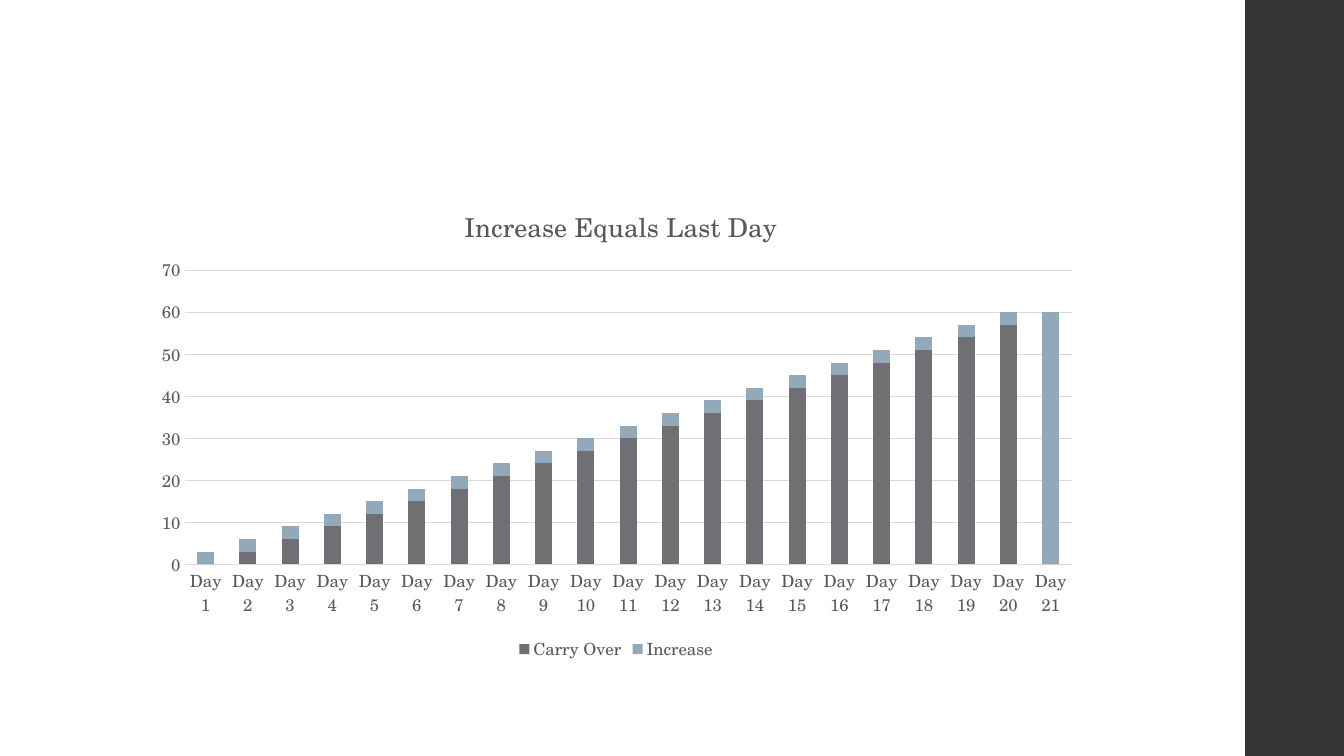
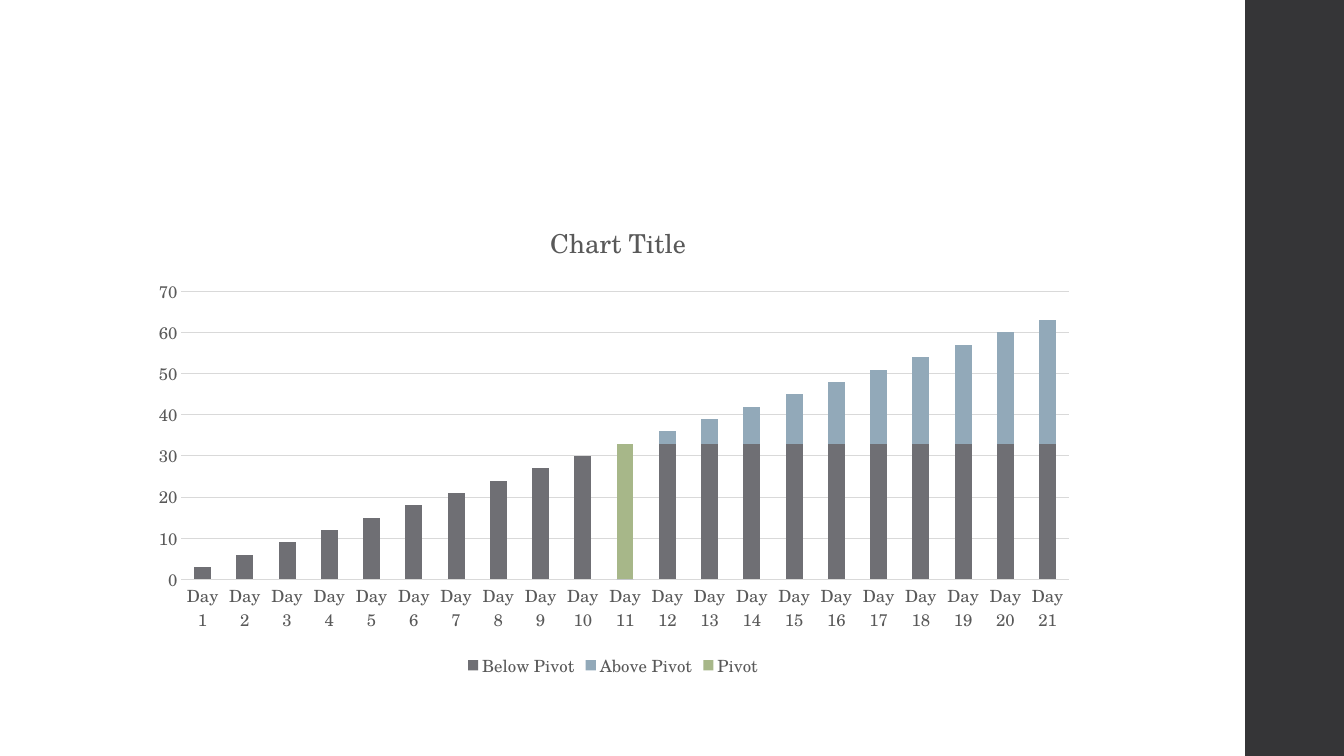
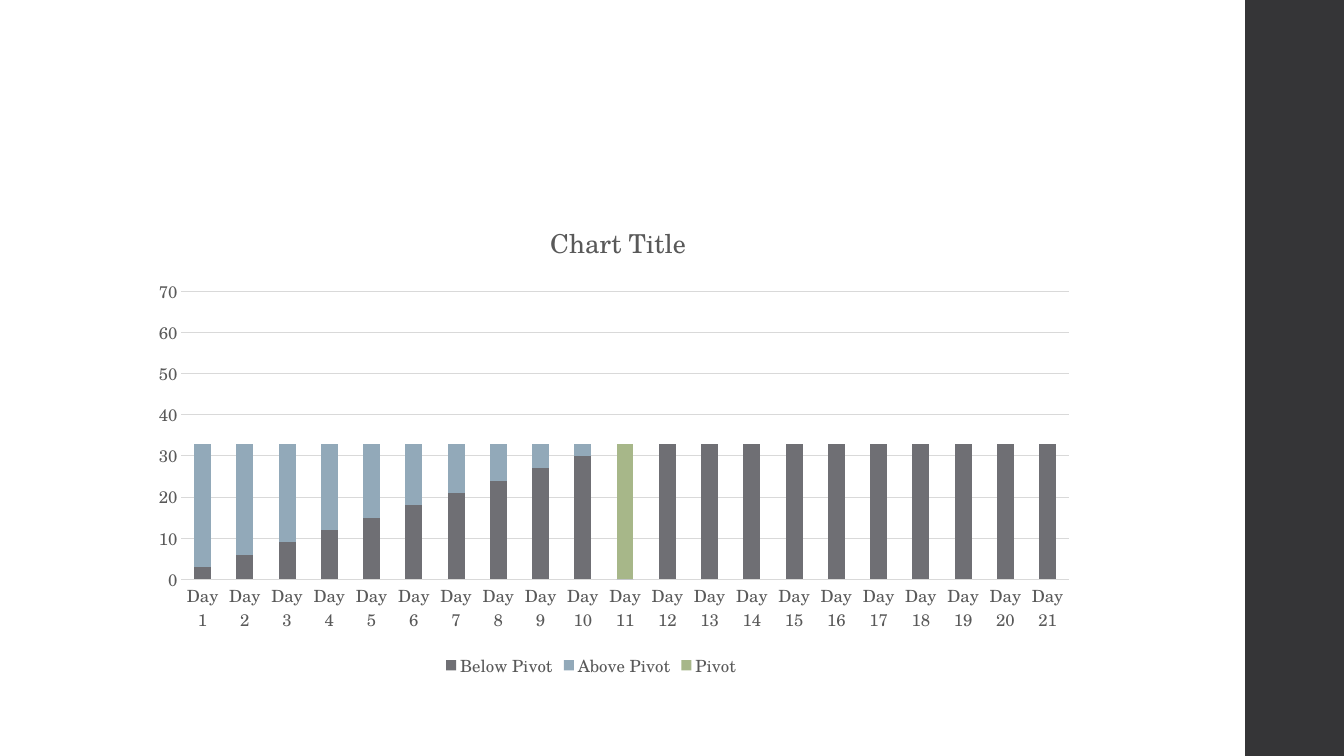
import pptx
import pptx.util
import pptx.chart.data
import pptx.dml.color
import pptx.enum.chart
import pptx.enum.shapes
import pptx.oxml
import pptx.oxml.ns

Inches = pptx.util.Inches
Pt = pptx.util.Pt
RGB = pptx.dml.color.RGBColor.from_string
qn = pptx.oxml.ns.qn

# Shared look
COLORS = {"band": "353537", "text": "595959", "rule": "D9D9D9",
          "gray": "6F6F74", "blue": "92A9B9", "green": "A7B789"}
FONT = "TeX Gyre Schola"
CHART_WIDTH, CHART_HEIGHT = 9.4, 4.76


def style_font(font, size):
    font.name = FONT
    font.size = Pt(size)
    font.bold = False
    font.color.rgb = RGB(COLORS["text"])


def set_layout(parent, index, left, top, width=None, height=None):
    """Place a chart part, with lengths in inches from the chart's corner."""
    for old in parent.findall(qn("c:layout")):
        parent.remove(old)
    target = '<c:layoutTarget val="inner"/>' if width else ""
    parts = {"x": left / CHART_WIDTH, "y": top / CHART_HEIGHT}
    if width:
        parts.update(w=width / CHART_WIDTH, h=height / CHART_HEIGHT)
    values = "".join(f'<c:{key} val="{value:.4f}"/>' for key, value in parts.items())
    parent.insert(index, pptx.oxml.parse_xml(
        f'<c:layout {pptx.oxml.ns.nsdecls("c")}><c:manualLayout>{target}'
        f'<c:xMode val="edge"/><c:yMode val="edge"/>{values}'
        '</c:manualLayout></c:layout>'))


# Chart contents
DAYS = range(1, 22)
STEP, PIVOT_DAY = 3, 11
PIVOT = STEP * PIVOT_DAY
below_pivot = [0 if day == PIVOT_DAY else min(STEP * day, PIVOT) for day in DAYS]
above_pivot = [max(STEP * day - PIVOT, 0) for day in DAYS]
missing_to_pivot = [max(PIVOT - STEP * day, 0) for day in DAYS]
pivot_only = [PIVOT if day == PIVOT_DAY else 0 for day in DAYS]

slides = [
    {"title": "Increase Equals Last Day", "title_left": 3.15,
     "at": (1.41, 1.84), "plot_top": 0.84, "plot_height": 2.92,
     "series": [("Carry Over", [STEP * (day - 1) for day in DAYS[:-1]] + [0], "gray"),
                ("Increase", [STEP] * 20 + [60], "blue")]},
    {"title": "Chart Title", "title_left": 4.03,
     "at": (1.38, 2), "plot_top": 0.89, "plot_height": 2.86,
     "series": [("Below Pivot", below_pivot, "gray"),
                ("Above Pivot", above_pivot, "blue"),
                ("Pivot", pivot_only, "green")]},
    {"title": "Chart Title", "title_left": 4.03,
     "at": (1.38, 2), "plot_top": 0.89, "plot_height": 2.86,
     "series": [("Below Pivot", below_pivot, "gray"),
                ("Above Pivot", missing_to_pivot, "blue"),
                ("Pivot", pivot_only, "green"),
                ("    ", [None] * 20 + [30], None)]},
]

deck = pptx.Presentation()
deck.slide_width = Inches(13.33)
deck.slide_height = Inches(7.5)

for slide in slides:
    page = deck.slides.add_slide(deck.slide_layouts[6])

    # Side band
    band = page.shapes.add_shape(pptx.enum.shapes.MSO_SHAPE.RECTANGLE,
                                 Inches(12.35), 0, Inches(1), Inches(7.5))
    band.shadow.inherit = False
    band.fill.solid()
    band.fill.fore_color.rgb = RGB(COLORS["band"])
    band.line.fill.background()

    # Stacked columns
    data = pptx.chart.data.CategoryChartData()
    data.categories = [f"Day {day}" for day in DAYS]
    for name, values, _ in slide["series"]:
        data.add_series(name, values)
    left, top = slide["at"]
    chart = page.shapes.add_chart(
        pptx.enum.chart.XL_CHART_TYPE.COLUMN_STACKED, Inches(left), Inches(top),
        Inches(CHART_WIDTH), Inches(CHART_HEIGHT), data).chart
    style_font(chart.font, 12)
    plot = chart.plots[0]
    plot.gap_width = 150
    plot.overlap = 100
    plot.vary_by_categories = False
    for series, (_, _, color) in zip(plot.series, slide["series"]):
        if color:
            series.format.fill.solid()
            series.format.fill.fore_color.rgb = RGB(COLORS[color])
        else:
            series.format.fill.background()

    # Axes
    days_axis, value_axis = chart.category_axis, chart.value_axis
    for axis in (days_axis, value_axis):
        axis.major_tick_mark = pptx.enum.chart.XL_TICK_MARK.NONE
        axis.minor_tick_mark = pptx.enum.chart.XL_TICK_MARK.NONE
        style_font(axis.tick_labels.font, 12)
    value_axis.minimum_scale = 0
    value_axis.maximum_scale = 70
    value_axis.major_unit = 10
    value_axis.format.line.fill.background()
    value_axis.has_major_gridlines = True
    for line in (days_axis.format.line, value_axis.major_gridlines.format.line):
        line.color.rgb = RGB(COLORS["rule"])
        line.width = Pt(0.75)

    # Legend and title
    chart.has_legend = True
    chart.legend.position = pptx.enum.chart.XL_LEGEND_POSITION.BOTTOM
    chart.legend.include_in_layout = False
    style_font(chart.legend.font, 12)
    chart.has_title = True
    para = chart.chart_title.text_frame.paragraphs[0]
    para.text = slide["title"]
    style_font(para.runs[0].font, 18.6)

    # Places inside the chart
    set_layout(chart.chart_title._element, 1, slide["title_left"], 0.15)
    set_layout(chart._chartSpace.chart.plotArea, 0, 0.42, slide["plot_top"],
               8.8, slide["plot_height"])

deck.save("out.pptx")
